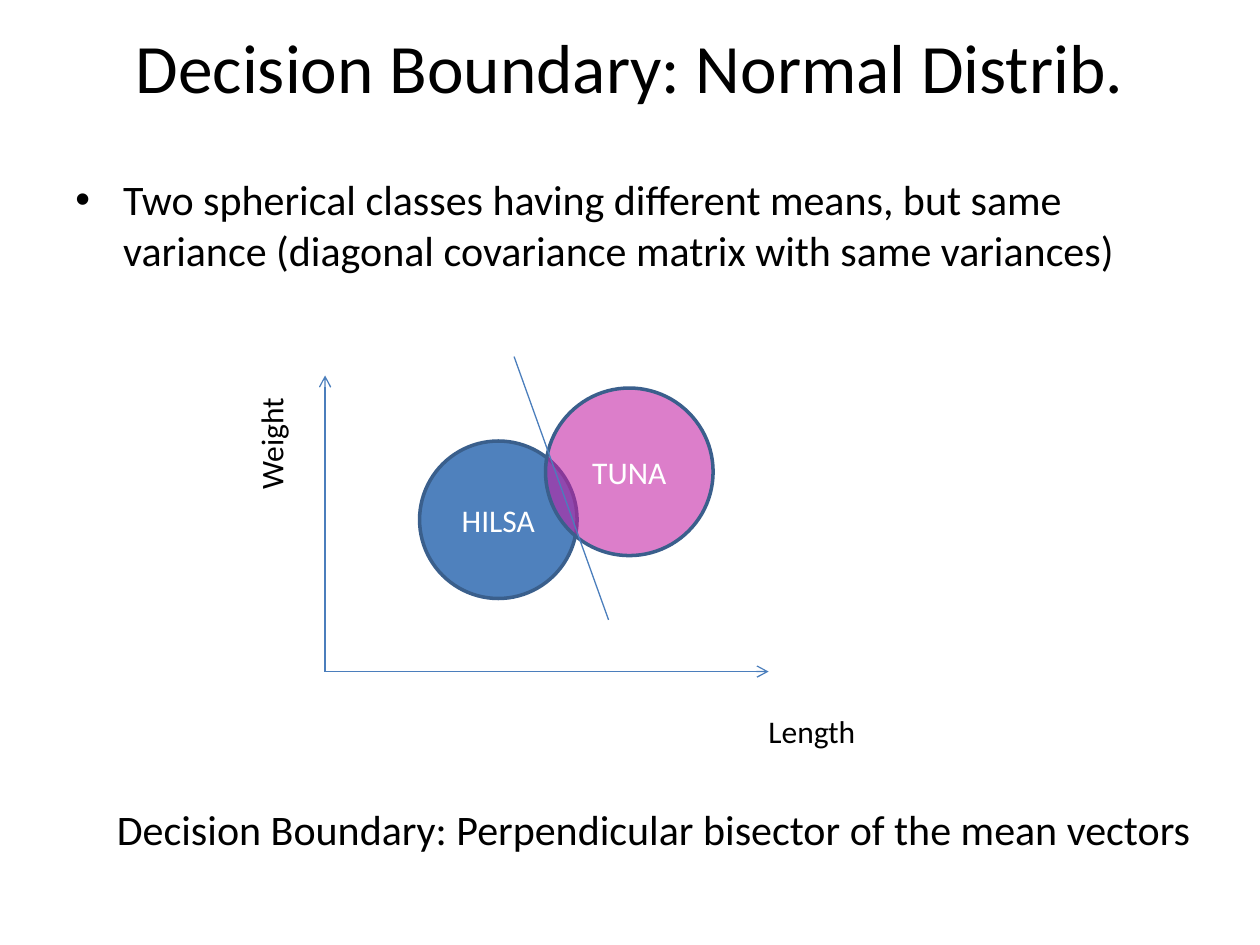
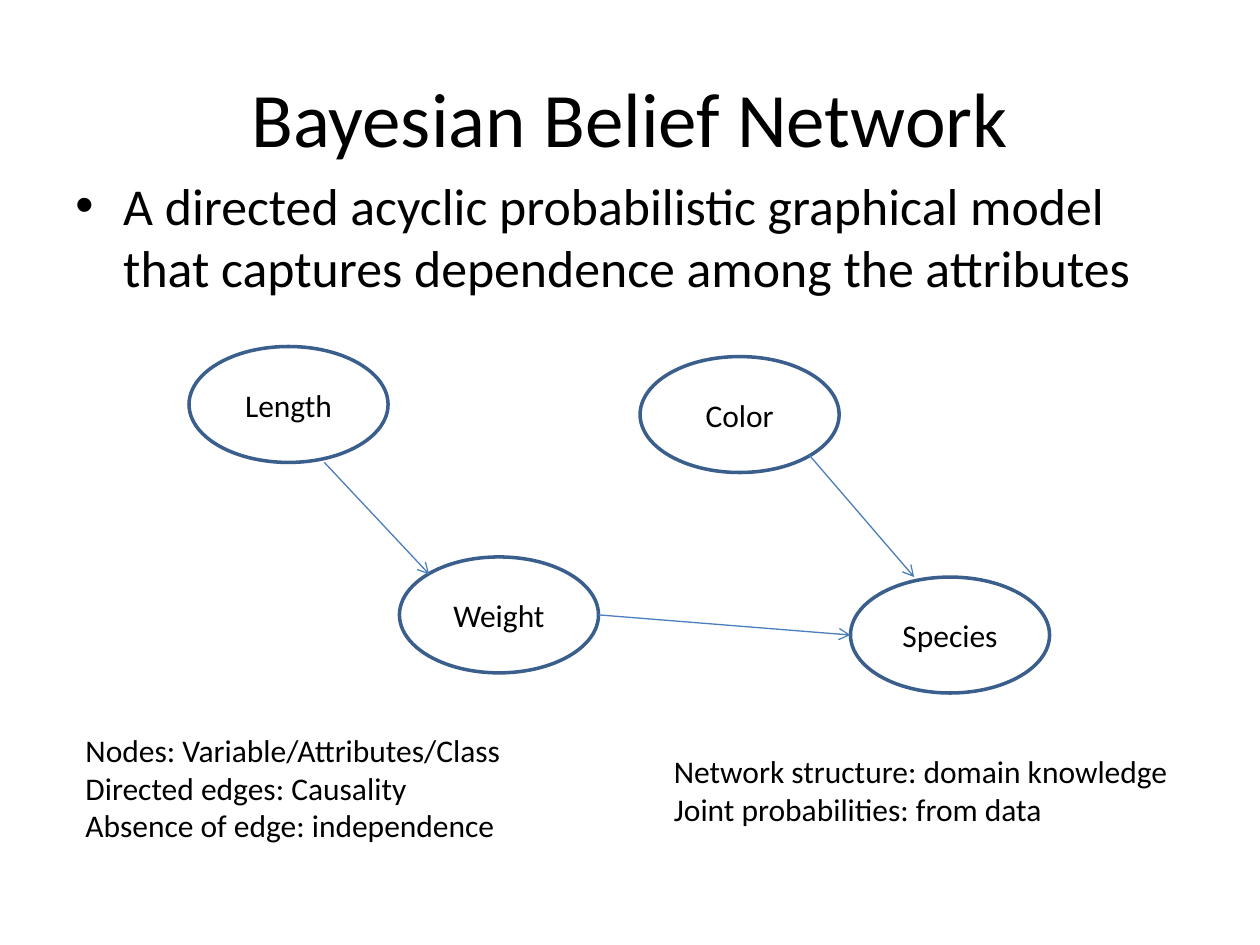
from dataclasses import dataclass

from lxml.etree import SubElement
from pptx import Presentation
from pptx.dml.color import RGBColor
from pptx.enum.shapes import MSO_CONNECTOR, MSO_SHAPE
from pptx.enum.text import MSO_ANCHOR, PP_ALIGN
from pptx.oxml.ns import qn
from pptx.util import Inches, Pt


@dataclass(frozen=True)
class Theme:
    font: str = "Calibri"
    ink: str = "000000"
    paper: str = "FFFFFF"
    hilsa: str = "4F81BD"
    tuna: str = "C31DA3"
    outline: str = "3A5F8C"
    line: str = "4B7EBC"
    title_size: float = 44
    small_title_size: float = 39.6
    lead_size: float = 29.6
    body_size: float = 24
    label_size: float = 18
    outline_width: float = 2
    line_width: float = 0.75


T = Theme()


def rgb(value):
    return RGBColor.from_string(value)


def set_text(sp, text, size=T.label_size, color=T.ink, align=PP_ALIGN.LEFT,
             anchor=MSO_ANCHOR.TOP, wrap=True, bullet=False):
    """Write each line of text as one paragraph of the shape."""
    tf = sp.text_frame
    tf.word_wrap = wrap
    tf.vertical_anchor = anchor
    for i, line in enumerate(text.split("\n")):
        p = tf.paragraphs[0] if i == 0 else tf.add_paragraph()
        p.alignment = align
        if bullet:
            pPr = p._p.get_or_add_pPr()
            pPr.set("marL", str(Inches(0.38)))
            pPr.set("indent", str(Inches(-0.38)))
            SubElement(pPr, qn("a:buFont"), typeface="Arial")
            SubElement(pPr, qn("a:buChar"), char="•")
        r = p.add_run()
        r.text = line
        r.font.name = T.font
        r.font.size = Pt(size)
        r.font.color.rgb = rgb(color)


def add_text(slide, box, text, rotation=0, **fmt):
    sp = slide.shapes.add_textbox(*map(Inches, box))
    sp.rotation = rotation
    set_text(sp, text, **fmt)


def add_title(slide, box, text, size):
    add_text(slide, box, text, size=size, align=PP_ALIGN.CENTER,
             anchor=MSO_ANCHOR.MIDDLE)


def add_ellipse(slide, box, text, color=T.ink, fill=None, opacity=100):
    """Draw a labelled ellipse; opacity is a percentage."""
    sp = slide.shapes.add_shape(MSO_SHAPE.OVAL, *map(Inches, box))
    sp.shadow.inherit = False
    if fill:
        sp.fill.solid()
        sp.fill.fore_color.rgb = rgb(fill)
        if opacity < 100:
            clr = sp._element.spPr.find(qn("a:solidFill"))[0]
            SubElement(clr, qn("a:alpha"), val=str(opacity * 1000))
    else:
        sp.fill.background()
    sp.line.color.rgb = rgb(T.outline)
    sp.line.width = Pt(T.outline_width)
    set_text(sp, text, color=color, align=PP_ALIGN.CENTER, anchor=MSO_ANCHOR.MIDDLE)


def add_line(slide, start, end, arrow=True):
    cn = slide.shapes.add_connector(MSO_CONNECTOR.STRAIGHT, *map(Inches, (*start, *end)))
    cn.line.color.rgb = rgb(T.line)
    cn.line.width = Pt(T.line_width)
    if arrow:
        SubElement(cn.line._get_or_add_ln(), qn("a:tailEnd"), type="arrow")
    SubElement(cn._element.spPr, qn("a:effectLst"))


def add_class_plot(slide, box):
    """Draw the two classes on axes that run along the left and bottom of the box."""
    x, y, w, h = box
    origin = (x, y + h)
    add_line(slide, origin, (x + w, y + h))
    add_line(slide, origin, (x, y))
    add_ellipse(slide, (x + 0.75, y + 0.52, 1.25, 1.25), "HILSA",
                color=T.paper, fill=T.hilsa)
    add_ellipse(slide, (x + 1.75, y + 0.1, 1.33, 1.33), "TUNA",
                color=T.paper, fill=T.tuna, opacity=57)
    add_text(slide, (x + w - 0.1, y + h + 0.27, 1.58, 0.4), "Length")
    add_text(slide, (x - 1.38, y - 0.15, 1.9, 0.4), "Weight", rotation=270)
    add_line(slide, (x + 1.5, y - 0.15), (x + 2.25, y + 1.94), arrow=False)


def add_network(slide, box):
    """Draw the nodes and edges; an edge end is a fraction of its node's size."""
    x, y, w, h = box
    node_w, node_h = 1.58, 0.92
    right, bottom = w - node_w, h - node_h
    nodes = {
        "Length": (x, y),
        "Weight": (x + 1.67, y + 1.67),
        "Color": (x + 3.58, y + 0.08),
        "Species": (x + right, y + bottom),
    }
    edges = [
        ("Length", (0.68, 1), "Weight", (0.15, 0.15)),
        ("Weight", (1, 0.5), "Species", (0, 0.5)),
        ("Color", (0.85, 0.85), "Species", (0.32, 0)),
    ]

    def point(name, fraction):
        left, top = nodes[name]
        return left + fraction[0] * node_w, top + fraction[1] * node_h

    for name, (left, top) in nodes.items():
        add_ellipse(slide, (left, top, node_w, node_h), name)
    for source, leave, target, arrive in edges:
        add_line(slide, point(source, leave), point(target, arrive))


def build_boundary_slide(slide):
    add_title(slide, (0.5, 0.3, 9, 0.45), "Decision Boundary: Normal Distrib.",
              T.small_title_size)
    add_text(slide, (0.5, 1.33, 9, 0.58),
             "Two spherical classes having different means, but same variance "
             "(diagonal covariance matrix with same variances)",
             size=T.body_size, bullet=True)
    add_class_plot(slide, (2.58, 2.98, 3.52, 2.35))
    add_text(slide, (0.83, 6.33, 8.8, 0.5),
             "Decision Boundary: Perpendicular bisector of the mean vectors",
             size=T.body_size, wrap=False)


def build_network_slide(slide):
    add_title(slide, (0.5, 0.3, 9, 1.25), "Bayesian Belief Network", T.title_size)
    add_text(slide, (0.5, 1.33, 9, 1.08),
             "A directed acyclic probabilistic graphical model that captures "
             "dependence among the attributes",
             size=T.lead_size, bullet=True)
    add_network(slide, (1.5, 2.75, 6.83, 2.75))
    add_text(slide, (0.58, 5.75, 3.82, 1.01),
             "Nodes: Variable/Attributes/Class\nDirected edges: Causality\n"
             "Absence of edge: independence", wrap=False)
    add_text(slide, (5.25, 5.92, 4.42, 0.71),
             "Network structure: domain knowledge\nJoint probabilities: from data",
             wrap=False)


def main():
    prs = Presentation()
    prs.slide_width, prs.slide_height = Inches(10), Inches(7.5)
    for build in (build_boundary_slide, build_network_slide):
        build(prs.slides.add_slide(prs.slide_layouts[6]))
    prs.save("out.pptx")


if __name__ == "__main__":
    main()
